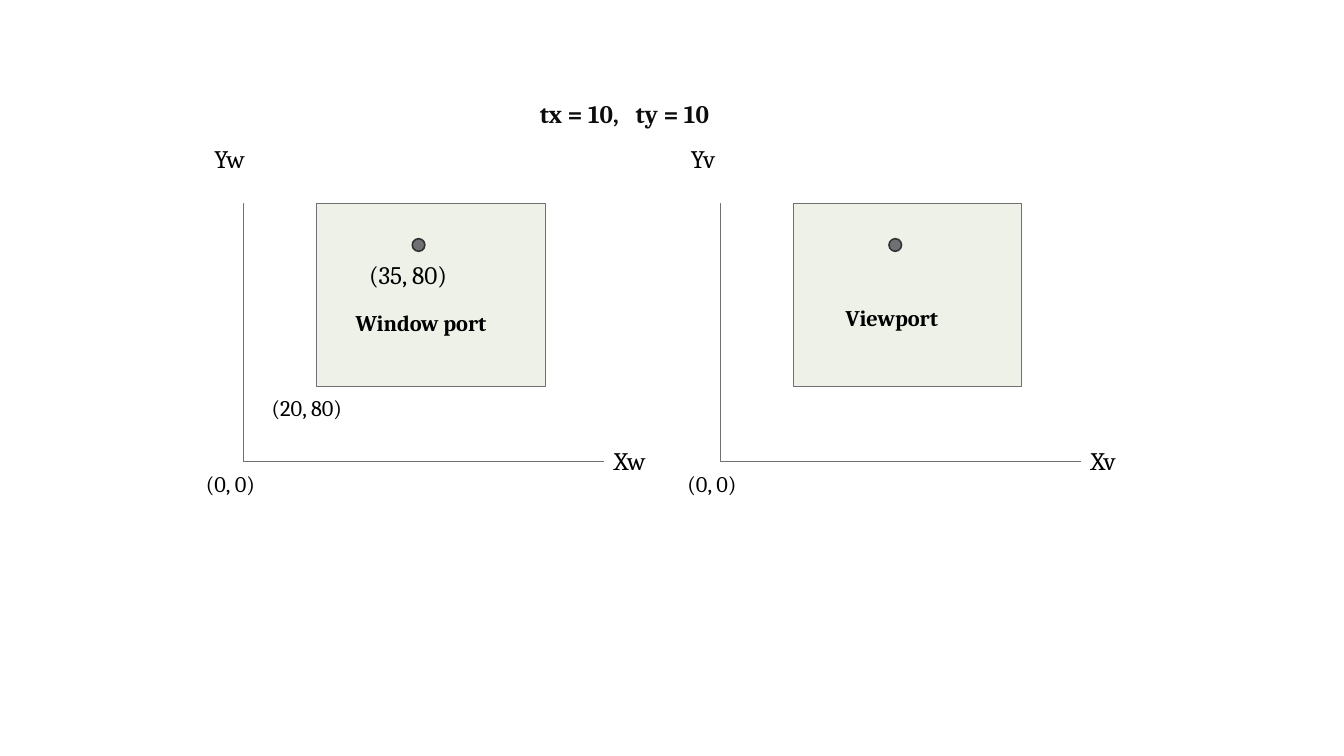
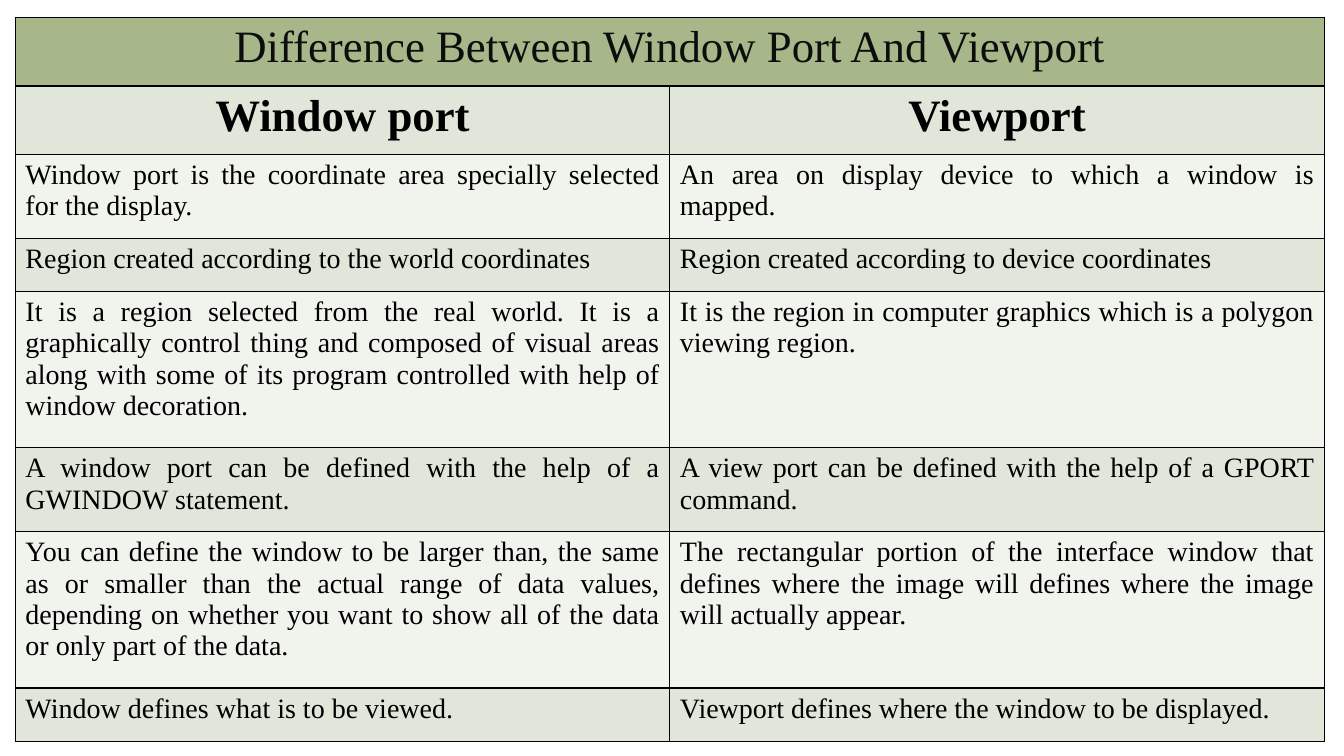
import dataclasses

import lxml.etree
import pptx
import pptx.dml.color
import pptx.enum.shapes
import pptx.enum.text
import pptx.oxml.ns
import pptx.util

Pt = pptx.util.Pt
Align = pptx.enum.text.PP_ALIGN
Shape = pptx.enum.shapes.MSO_SHAPE
qualified = pptx.oxml.ns.qn


@dataclasses.dataclass(frozen=True)
class Theme:
    black: str = "000000"
    heading: str = "0D0D0D"
    port_fill: str = "EDF1E7"
    gray: str = "6F6F74"
    dot_line: str = "313133"
    table_title: str = "A7B789"
    band_dark: str = "E1E6DA"
    band_light: str = "F1F3ED"
    diagram_font: str = "Cambria"
    table_font: str = "Times New Roman"
    label_size: int = 18
    small_size: int = 16
    table_heading_size: int = 32
    table_body_size: int = 20
    thin_line: float = 0.75
    dot_border: float = 1.1
    table_border: int = 1


THEME = Theme()
PLANE_STEP = 340.5
COLUMN_WIDTH = 467.5
ROW_HEIGHTS = (49, 49, 60, 38, 111.5, 60, 111.5, 38)
TABLE_TITLE = "Difference Between Window Port And Viewport"
COMPARISON = (
    ("Window port", "Viewport"),
    ("Window port is the coordinate area specially selected for the display.",
     "An area on display device to which a window is mapped."),
    ("Region created according to the world coordinates",
     "Region created according to device coordinates"),
    ("It is a region selected from the real world. It is a graphically control "
     "thing and composed of visual areas along with some of its program "
     "controlled with help of window decoration.",
     "It is the region in computer graphics which is a polygon viewing region."),
    ("A window port can be defined with the help of a GWINDOW statement.",
     "A view port can be defined with the help of a GPORT command."),
    ("You can define the window to be larger than, the same as or smaller than "
     "the actual range of data values, depending on whether you want to show "
     "all of the data or only part of the data.",
     "The rectangular portion of the interface window that defines where the "
     "image will defines where the image will actually appear."),
    ("Window defines what is to be viewed.",
     "Viewport defines where the window to be displayed."),
)


def rgb(color):
    return pptx.dml.color.RGBColor.from_string(color)


def write_text(text_frame, text, size=THEME.label_size, font=THEME.diagram_font,
               color=THEME.black, bold=False, align=Align.LEFT):
    paragraph = text_frame.paragraphs[0]
    paragraph.alignment = align
    run = paragraph.add_run()
    run.text = text
    run.font.size = Pt(size)
    run.font.name = font
    run.font.bold = bold
    run.font.color.rgb = rgb(color)
    return paragraph


def add_label(slide, text, left, top, width=61, **text_format):
    box = slide.shapes.add_textbox(Pt(left), Pt(top), Pt(width), Pt(29))
    box.text_frame.word_wrap = True
    return write_text(box.text_frame, text, **text_format)


def add_tab_stop(paragraph, position):
    properties = paragraph._p.get_or_add_pPr()
    tabs = lxml.etree.SubElement(properties, qualified("a:tabLst"))
    lxml.etree.SubElement(tabs, qualified("a:tab"), pos=str(Pt(position)), algn="l")


def add_filled_shape(slide, kind, left, top, width, height, fill, line, weight):
    shape = slide.shapes.add_shape(kind, Pt(left), Pt(top), Pt(width), Pt(height))
    shape.shadow.inherit = False
    shape.fill.solid()
    shape.fill.fore_color.rgb = rgb(fill)
    shape.line.color.rgb = rgb(line)
    shape.line.width = Pt(weight)


def add_axes(slide, left, top, right, bottom):
    axes = slide.shapes.add_connector(
        pptx.enum.shapes.MSO_CONNECTOR.ELBOW, Pt(left), Pt(top), Pt(right), Pt(bottom))
    axes.line.color.rgb = rgb(THEME.gray)
    axes.line.width = Pt(THEME.thin_line)
    properties = axes._element.spPr
    lxml.etree.SubElement(properties, qualified("a:effectLst"))
    adjustments = properties.find(qualified("a:prstGeom")).get_or_add_avLst()
    lxml.etree.SubElement(adjustments, qualified("a:gd"), name="adj1", fmla="val 100")


def add_plane(slide, offset, suffix):
    add_filled_shape(slide, Shape.RECTANGLE, 226 + offset, 145.5, 163.5, 130.5,
                     THEME.port_fill, THEME.gray, THEME.thin_line)
    add_axes(slide, 174 + offset, 145.5, 431.5 + offset, 329.5)
    add_filled_shape(slide, Shape.FLOWCHART_CONNECTOR, 294.5 + offset, 170.5, 9, 9,
                     THEME.gray, THEME.dot_line, THEME.dot_border)
    add_label(slide, "Y" + suffix, 146 + offset, 98.5)
    add_label(slide, "X" + suffix, 431.5 + offset, 314.5)


def build_diagram(slide):
    for index, suffix in enumerate("wv"):
        add_plane(slide, index * PLANE_STEP, suffix)
    small = {"size": THEME.small_size}
    add_label(slide, "(35, 80)", 256.5, 182, width=82)
    add_label(slide, "(20, 80)", 187, 278, width=144, **small)
    add_label(slide, "Window port", 247, 217.5, width=143, bold=True, **small)
    add_label(slide, "Viewport", 597, 214, width=133, bold=True, **small)
    for left in (140, 484):
        add_label(slide, "(0, 0)", left, 332, **small)
    heading = add_label(slide, "tx = 10,\tty = 10", 378.5, 67, width=332,
                        color=THEME.heading, bold=True)
    add_tab_stop(heading, 68.5)


def format_cell(cell, fill):
    properties = cell._tc.get_or_add_tcPr()
    for side in ("lnL", "lnR", "lnT", "lnB"):
        border = lxml.etree.SubElement(properties, qualified("a:" + side),
                                       w=str(Pt(THEME.table_border)))
        solid = lxml.etree.SubElement(border, qualified("a:solidFill"))
        lxml.etree.SubElement(solid, qualified("a:srgbClr"), val=THEME.black)
    cell.fill.solid()
    cell.fill.fore_color.rgb = rgb(fill)


def build_comparison(slide):
    table = slide.shapes.add_table(
        len(ROW_HEIGHTS), 2, Pt(11), Pt(12.5),
        Pt(2 * COLUMN_WIDTH), Pt(sum(ROW_HEIGHTS))).table
    for column in table.columns:
        column.width = Pt(COLUMN_WIDTH)
    for row, height in zip(table.rows, ROW_HEIGHTS):
        row.height = Pt(height)
    for cell in table.rows[0].cells:
        format_cell(cell, THEME.table_title)
    table.cell(0, 0).merge(table.cell(0, 1))
    heading = {"size": THEME.table_heading_size, "align": Align.CENTER,
               "font": THEME.table_font}
    body = {"size": THEME.table_body_size, "align": Align.JUSTIFY,
            "font": THEME.table_font}
    write_text(table.cell(0, 0).text_frame, TABLE_TITLE,
               color=THEME.heading, **heading)
    for row_index, texts in enumerate(COMPARISON, start=1):
        is_header = row_index == 1
        fill = THEME.band_dark if row_index % 2 else THEME.band_light
        for column_index, text in enumerate(texts):
            cell = table.cell(row_index, column_index)
            format_cell(cell, fill)
            write_text(cell.text_frame, text, bold=is_header,
                       **(heading if is_header else body))


def main():
    presentation = pptx.Presentation()
    presentation.slide_width = Pt(960)
    presentation.slide_height = Pt(540)
    blank_layout = presentation.slide_layouts[6]
    for build in (build_diagram, build_comparison):
        build(presentation.slides.add_slide(blank_layout))
    presentation.save("out.pptx")


if __name__ == "__main__":
    main()
